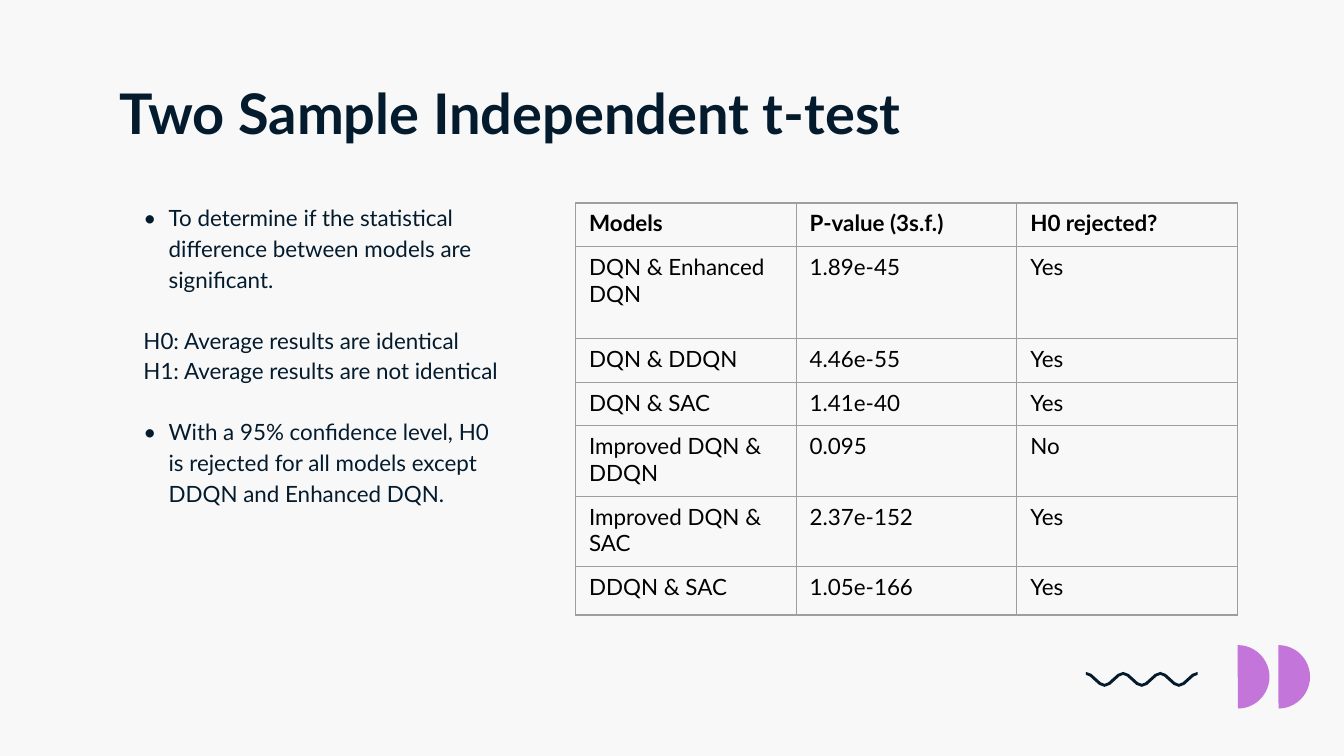
"""Build the slide on the two sample independent t-test."""
from math import cos, hypot, pi, sin

from lxml.etree import SubElement
from pptx import Presentation
from pptx.dml.color import RGBColor
from pptx.enum.shapes import MSO_SHAPE
from pptx.enum.text import MSO_ANCHOR
from pptx.oxml import parse_xml
from pptx.oxml.ns import nsdecls, qn
from pptx.util import Pt


def paint(fill, color):
    fill.solid()
    fill.fore_color.rgb = RGBColor.from_string(color)


def write(paragraph, text, color, font_format):
    run = paragraph.add_run()
    run.text = text
    for attribute, value in font_format.items():
        setattr(run.font, attribute, value)
    paint(run.font.fill, color)


NAVY, PURPLE, BLACK, GREY, PAPER = "041B2D", "C375DA", "000000", "9E9E9E", "F8F8F8"
TITLE = {"name": "Lato", "size": Pt(30), "bold": True}
BODY = {"name": "Lato", "size": Pt(12), "bold": False}
HEADER = {**BODY, "bold": True}
FRAME = {"word_wrap": True, "vertical_anchor": MSO_ANCHOR.TOP, "margin_left": Pt(7.2),
         "margin_right": Pt(7.2), "margin_top": Pt(7.2), "margin_bottom": Pt(7.2)}

deck = Presentation()
deck.slide_width, deck.slide_height = Pt(720), Pt(405)
slide = deck.slides.add_slide(deck.slide_layouts[6])
paint(slide.background.fill, PAPER)

for left in (646.1, 667.8):
    half_disc = slide.shapes.add_shape(MSO_SHAPE.PIE, Pt(left), Pt(345.6), Pt(34), Pt(34))
    half_disc.adjustments[0] = 0
    half_disc.adjustments[1] = 107.73
    half_disc.rotation = 270
    half_disc.shadow.inherit = False
    half_disc.line.fill.background()
    paint(half_disc.fill, PURPLE)

heading = slide.shapes.add_textbox(Pt(56.9), Pt(34.9), Pt(607), Pt(45.4)).text_frame
explanation = slide.shapes.add_textbox(Pt(69.8), Pt(100), Pt(208), Pt(246)).text_frame
for frame in (heading, explanation):
    for attribute, value in FRAME.items():
        setattr(frame, attribute, value)

write(heading.paragraphs[0], "Two Sample Independent t-test", NAVY, TITLE)

statements = [
    ("To determine if the statistical difference between models are significant.", True, 0),
    ("H0: Average results are identical", False, 16),
    ("H1: Average results are not identical", False, 0),
    ("With a 95% confidence level, H0 is rejected for all models except "
     "DDQN and Enhanced DQN.", True, 16),
]
for position, (statement, bulleted, gap) in enumerate(statements):
    paragraph = explanation.add_paragraph() if position else explanation.paragraphs[0]
    if bulleted:
        properties = paragraph._p.get_or_add_pPr()
        properties.set("marL", str(Pt(13.5)))
        properties.set("indent", str(-Pt(13.5)))
        bullet_color = SubElement(properties, qn("a:buClr"))
        SubElement(bullet_color, qn("a:srgbClr"), val=NAVY)
        SubElement(properties, qn("a:buFont"), typeface="Lato")
        SubElement(properties, qn("a:buChar"), char="•")
    for attribute, value in {"line_spacing": 1.15, "space_before": Pt(gap)}.items():
        setattr(paragraph, attribute, value)
    write(paragraph, statement, NAVY, BODY)

wave_left, wave_middle, period, amplitude, half_width = 581.8, 364, 19.92, 3.2, 0.8
upper_edge, lower_edge = [], []
for step in range(25):
    angle = 2 * pi * step / 8
    x = wave_left + step * period / 8
    y = wave_middle - amplitude * cos(angle)
    slope = amplitude * 2 * pi / period * sin(angle)
    across = half_width * slope / hypot(1, slope)
    down = half_width / hypot(1, slope)
    upper_edge.append((Pt(x + across), Pt(y - down)))
    lower_edge.append((Pt(x - across), Pt(y + down)))
outline = upper_edge + lower_edge[::-1]
builder = slide.shapes.build_freeform(*outline[0])
builder.add_line_segments(outline[1:], close=True)
wave = builder.convert_to_shape()
wave.shadow.inherit = False
wave.line.fill.background()
paint(wave.fill, NAVY)

results = [
    ("Models", "P-value (3s.f.)", "H0 rejected?"),
    ("DQN & Enhanced DQN", "1.89e-45", "Yes"),
    ("DQN & DDQN", "4.46e-55", "Yes"),
    ("DQN & SAC", "1.41e-40", "Yes"),
    ("Improved DQN & DDQN", "0.095", "No"),
    ("Improved DQN & SAC", "2.37e-152", "Yes"),
    ("DDQN & SAC", "1.05e-166", "Yes"),
]
row_heights = [23.4, 49.3, 23.4, 23.4, 37.7, 37.7, 26]
table = slide.shapes.add_table(len(results), 3, Pt(308.4), Pt(108.7),
                               Pt(354.6), Pt(sum(row_heights))).table
for attribute in ("first_row", "horz_banding"):
    setattr(table, attribute, False)
for column in table.columns:
    column.width = Pt(118.2)
for row_number, (row, height, values) in enumerate(zip(table.rows, row_heights, results)):
    row.height = Pt(height)
    for cell, value in zip(row.cells, values):
        write(cell.text_frame.paragraphs[0], value, BLACK, BODY if row_number else HEADER)
        for side in "LRTB":
            cell._tc.get_or_add_tcPr().append(parse_xml(
                f'<a:ln{side} {nsdecls("a")} w="{Pt(0.75)}"><a:solidFill>'
                f'<a:srgbClr val="{GREY}"/></a:solidFill></a:ln{side}>'))
        cell.fill.background()

deck.save("out.pptx")
